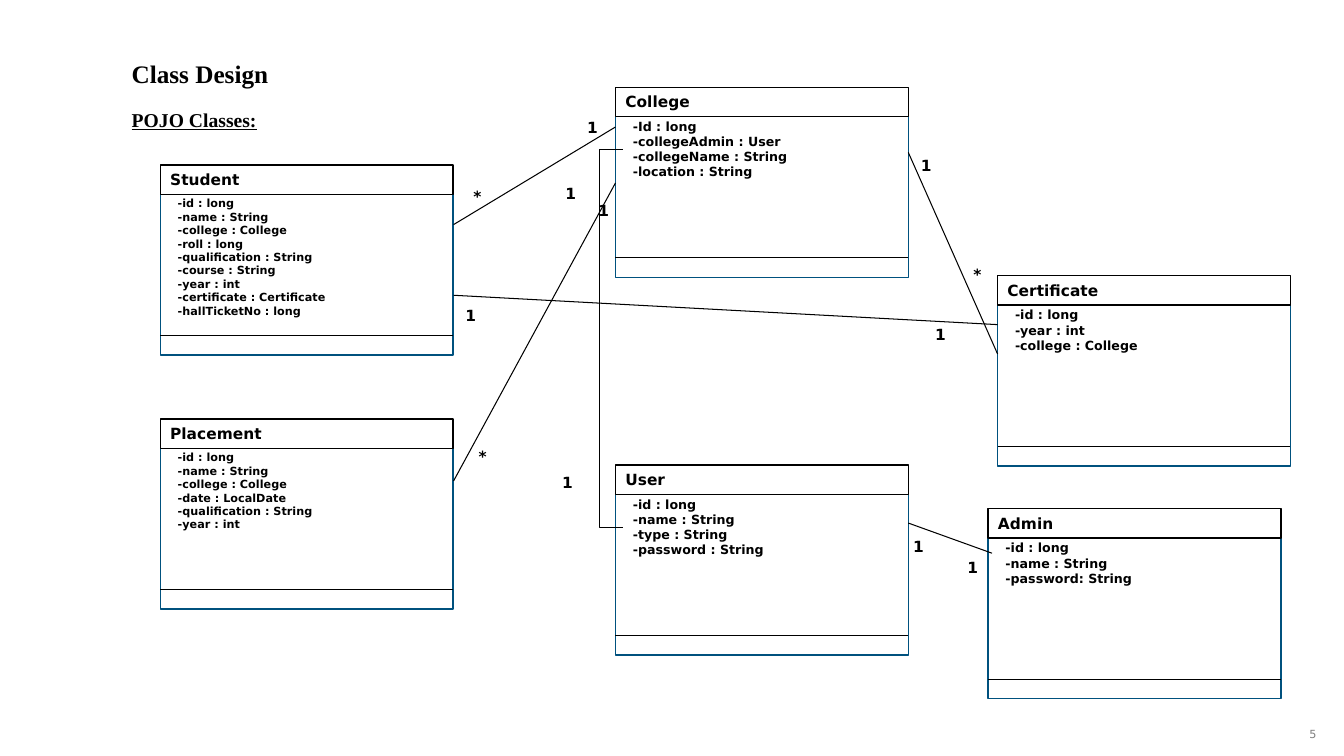
from lxml import etree
from pptx import Presentation
from pptx import util as u
from pptx.dml.color import RGBColor
from pptx.enum import shapes, text
from pptx.oxml import ns

COLORS = {"ink": "000000", "paper": "FFFFFF", "frame": "00517E", "muted": "7F7F7F"}
SANS, SERIF = "DejaVu Sans", "Times New Roman"
CARD_W, CARD_H, HEADER_H = 7.38, 4.76, 0.74

prs = Presentation()
prs.slide_width, prs.slide_height = u.Cm(33.87), u.Cm(19.05)
slide = prs.slides.add_slide(prs.slide_layouts[6])


def write(holder, lines, size, font=SANS, color="ink", align=text.PP_ALIGN.LEFT, **extra):
    frame = holder.text_frame
    frame.word_wrap = True
    frame.vertical_anchor = text.MSO_ANCHOR.TOP
    frame.text = "\n".join(lines)
    style = {"name": font, "size": u.Pt(size), "bold": True, **extra}
    for paragraph in frame.paragraphs:
        paragraph.alignment = align
        for run in paragraph.runs:
            run.font.color.rgb = RGBColor.from_string(COLORS[color])
            for key, value in style.items():
                setattr(run.font, key, value)


def link(x1, y1, x2, y2, kind=shapes.MSO_CONNECTOR.STRAIGHT):
    line = slide.shapes.add_connector(kind, u.Cm(x1), u.Cm(y1), u.Cm(x2), u.Cm(y2))
    line.line.color.rgb = RGBColor.from_string(COLORS["ink"])
    line.line.width = u.Pt(0.75)
    etree.SubElement(line._element.spPr, ns.qn("a:effectLst"))
    return line


# Headings and page number
headings = [
    (3.07, 1.35, 5.05, 1.02, "Class Design", 18, SERIF, {}),
    (3.07, 2.6, 19.38, 1.62, "POJO Classes:", 14, SERIF, {"underline": True}),
    (32.74, 18.21, 0.69, 0.61, "5", 8, SANS,
     {"bold": False, "color": "muted", "align": text.PP_ALIGN.RIGHT}),
]
for x, y, w, h, words, size, font, extra in headings:
    heading = slide.shapes.add_textbox(u.Cm(x), u.Cm(y), u.Cm(w), u.Cm(h))
    write(heading, [words], size, font, **extra)

# Class cards: left, top, attribute width, attribute size, attributes
classes = {
    "Student": (4.04, 4.19, 5.16, 8, [
        "-id : long", "-name : String", "-college : College", "-roll : long",
        "-qualification : String", "-course : String", "-year : int",
        "-certificate : Certificate", "-hallTicketNo : long"]),
    "College": (15.51, 2.23, 5.16, 9, [
        "-Id : long", "-collegeAdmin : User", "-collegeName : String", "-location : String"]),
    "Placement": (4.04, 10.59, 4.14, 8, [
        "-id : long", "-name : String", "-college : College", "-date : LocalDate",
        "-qualification : String", "-year : int"]),
    "User": (15.51, 11.75, 5.46, 9, [
        "-id : long", "-name : String", "-type : String", "-password : String"]),
    "Certificate": (25.14, 6.98, 4.29, 9, [
        "-id : long", "-year : int", "-college : College"]),
    "Admin": (24.9, 12.85, 5.08, 9, [
        "-id : long", "-name : String", "-password: String"]),
}
bodies, attributes = {}, {}
for name, (x, y, attr_w, attr_size, fields) in classes.items():
    body, header = [
        slide.shapes.add_shape(shapes.MSO_SHAPE.RECTANGLE,
                               u.Cm(x), u.Cm(top), u.Cm(CARD_W), u.Cm(height))
        for top, height in ((y, CARD_H), (y - 0.03, HEADER_H))]
    for part, color in ((body, "frame"), (header, "ink")):
        part.shadow.inherit = False
        part.line.color.rgb = RGBColor.from_string(COLORS[color])
        part.line.width = u.Pt(1)
    body.fill.background()
    header.fill.solid()
    header.fill.fore_color.rgb = RGBColor.from_string(COLORS["paper"])
    write(header, [name], 11)

    field_list = slide.shapes.add_textbox(
        u.Cm(x + 0.19), u.Cm(y + 0.64), u.Cm(attr_w),
        u.Cm(0.25 + 0.043 * attr_size * len(fields)))
    write(field_list, fields, attr_size)
    link(x, y + 4.27, x + CARD_W, y + 4.27)
    bodies[name], attributes[name] = body, field_list

# Associations
link(11.43, 5.66, 15.51, 3.2)      # Student to College
link(11.43, 7.44, 25.14, 8.18)     # Student to Certificate
link(25.14, 8.92, 22.89, 3.84)     # Certificate to College
link(22.89, 13.18, 25.0, 13.94)    # User to Admin
placement_college = link(11.43, 12.12, 15.51, 4.61)
placement_college.end_connect(bodies["College"], 1)

# College admin: an elbow bulging out to the left of both attribute lists
college_user = link(15.7, 3.78, 15.71, 13.28, shapes.MSO_CONNECTOR.ELBOW)
college_user.begin_connect(attributes["College"], 1)
college_user.end_connect(attributes["User"], 1)
college_user.width = u.Cm(0.01)
guides = college_user._element.spPr.find(ns.qn("a:prstGeom")).get_or_add_avLst()
etree.SubElement(guides, ns.qn("a:gd"), name="adj1", fmla="val -5840000")

# Multiplicities
multiplicities = {
    "1": [(14.55, 2.84), (14.83, 4.95), (11.48, 7.59), (23.32, 8.08), (22.96, 3.81),
          (14.0, 4.52), (13.92, 11.79), (22.76, 13.41), (24.13, 13.94)],
    "*": [(24.28, 6.55), (11.81, 11.15), (11.68, 4.6)],
}
for mark, places in multiplicities.items():
    for x, y in places:
        multiplicity = slide.shapes.add_textbox(u.Cm(x), u.Cm(y), u.Cm(0.86), u.Cm(HEADER_H))
        write(multiplicity, [mark], 11)

prs.save("out.pptx")
